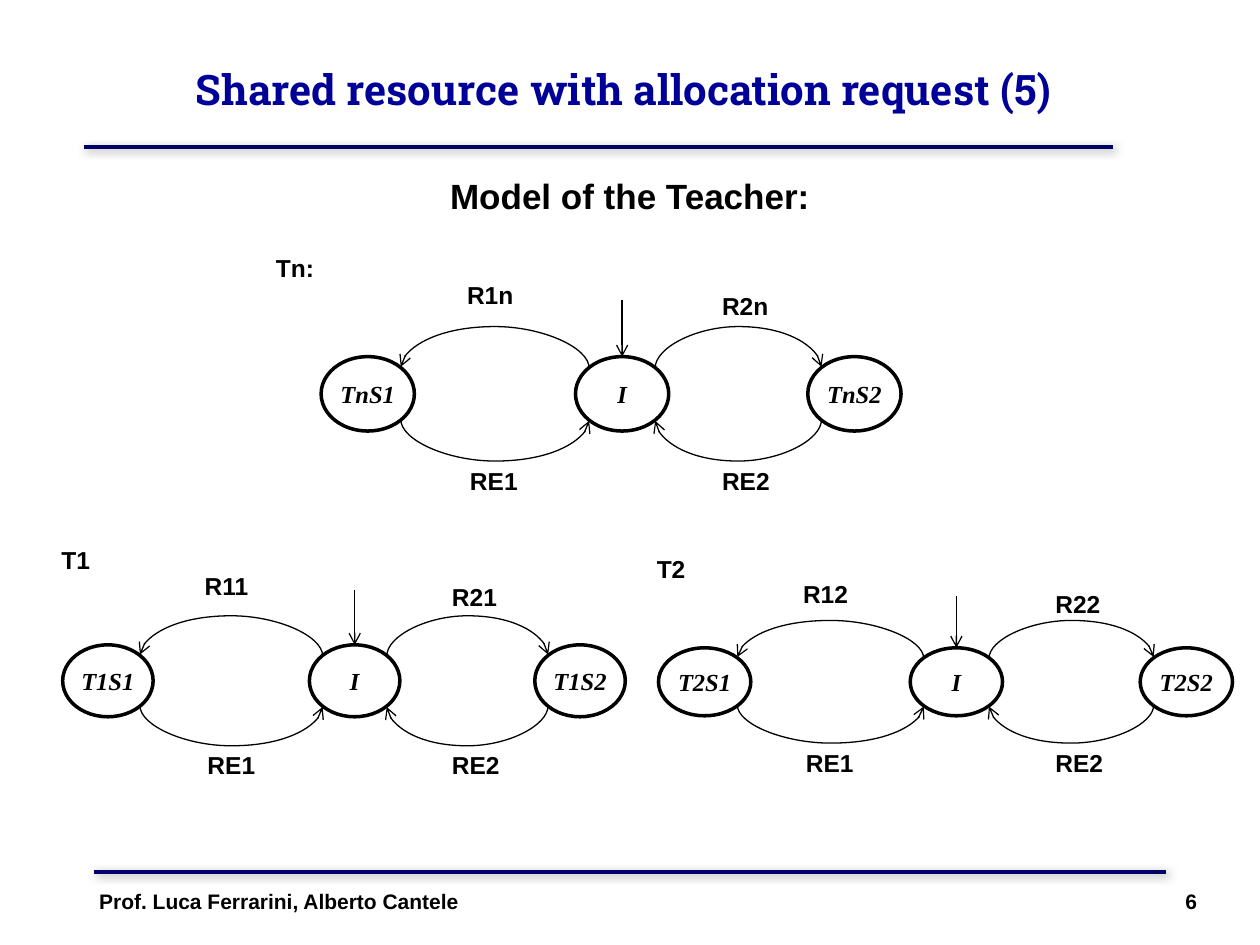
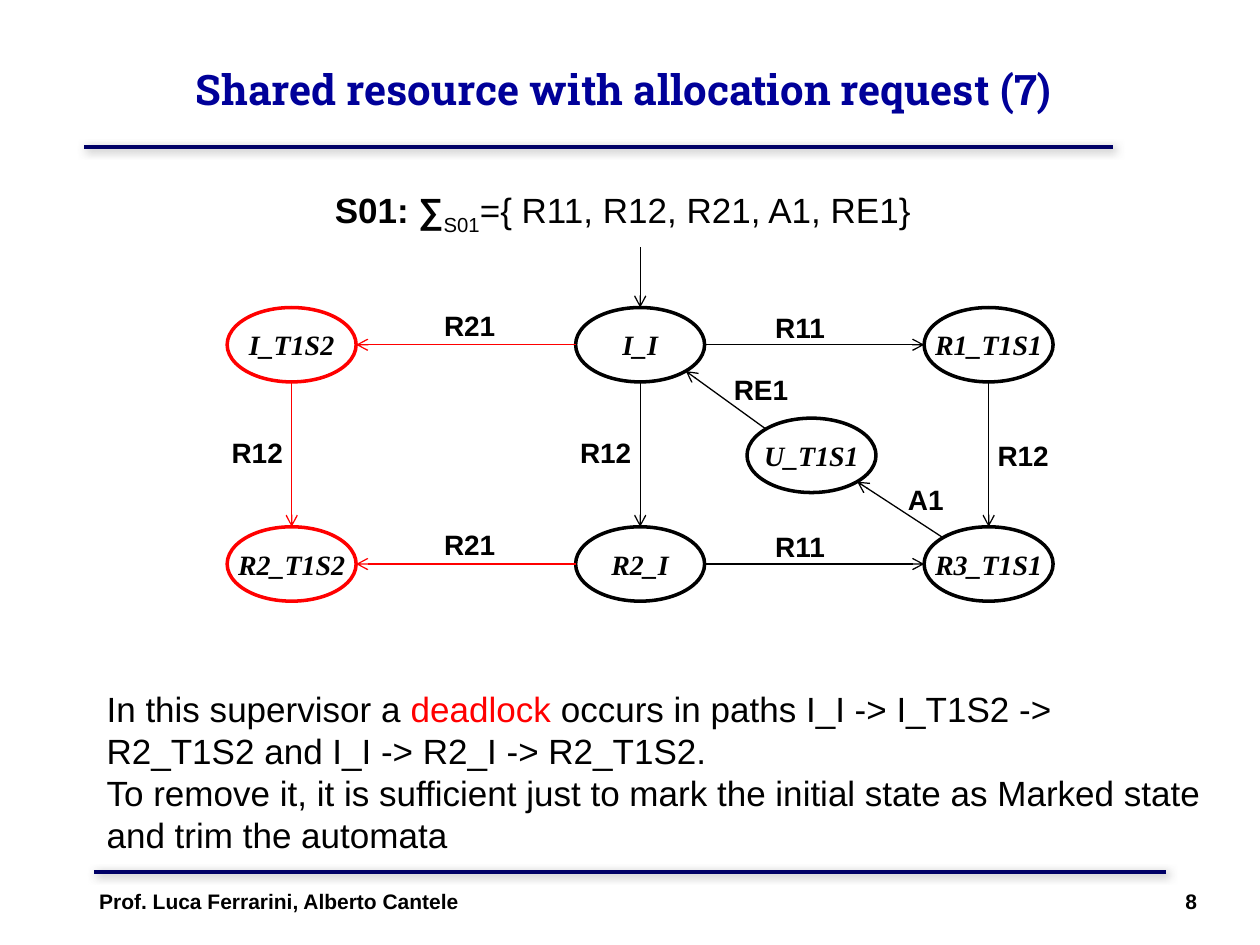
from dataclasses import dataclass
from math import sqrt

from pptx import Presentation
from pptx.dml.color import RGBColor
from pptx.enum.shapes import MSO_CONNECTOR, MSO_SHAPE
from pptx.enum.text import MSO_ANCHOR, PP_ALIGN
from pptx.oxml.ns import qn
from pptx.oxml.xmlchemy import OxmlElement
from pptx.util import Cm, Pt

LINE, CURVE = MSO_CONNECTOR.STRAIGHT, MSO_CONNECTOR.CURVE
OVAL = MSO_SHAPE.OVAL
MIDDLE = MSO_ANCHOR.MIDDLE
LEFT, CENTER = PP_ALIGN.LEFT, PP_ALIGN.CENTER
DIAG = 1 / sqrt(2)


@dataclass(frozen=True)
class Theme:
    ink: str = "000000"
    paper: str = "FFFFFF"
    rule: str = "000066"
    title: str = "000099"
    alert: str = "FF0000"
    shade: str = "808080"
    head: str = "Roboto Slab"
    sans: str = "Arial"
    serif: str = "Times New Roman"
    title_size: int = 24
    text_size: int = 20
    graph_size: int = 16
    small_graph: int = 14
    foot_size: int = 12


THEME = Theme()


def rgb(code):
    return RGBColor.from_string(code)


def child(parent, tag, **attrs):
    """Append an XML element with the given attributes."""
    node = OxmlElement(tag)
    for key, value in attrs.items():
        node.set(key, str(value))
    parent.append(node)
    return node


def style(run, size, face=THEME.sans, color=THEME.ink, bold=True, italic=False):
    font = run.font
    font.name, font.size = face, Pt(size)
    font.bold, font.italic = bold, italic
    font.color.rgb = rgb(color)


def add_text(slide, box, text, size, bold=True, align=LEFT):
    """Add a wrapped text box and return its frame."""
    frame = slide.shapes.add_textbox(*map(Cm, box)).text_frame
    frame.word_wrap = True
    frame.text = text
    for par in frame.paragraphs:
        par.alignment = align
        for run in par.runs:
            style(run, size, bold=bold)
    return frame


def add_label(slide, x, y, text, size):
    add_text(slide, (x, y, 1.9, 0.95), text, size)


def add_line(slide, start, end, color=THEME.ink, width=0.75, kind=LINE, arrow=True):
    """Draw a connector without shadow and return its properties and effects."""
    line = slide.shapes.add_connector(kind, *map(Cm, (*start, *end)))
    line.line.color.rgb = rgb(color)
    line.line.width = Pt(width)
    props = line._element.spPr
    if arrow:
        child(props.find(qn("a:ln")), "a:tailEnd", type="arrow")
    return props, child(props, "a:effectLst")


def add_rule(slide, left, right, y):
    effects = add_line(slide, (left, y), (right, y), THEME.rule, 2.25, arrow=False)[1]
    shadow = child(effects, "a:outerShdw", blurRad=Pt(5), dist=Pt(1.4),
                   dir=45 * 60000, algn="ctr", rotWithShape=0)
    color = child(shadow, "a:srgbClr", val=THEME.shade)
    child(color, "a:alpha", val=75000)


def add_arc(slide, start, end, y, rise, above):
    """Draw a curved arrow between two points of height y, bulging by rise."""
    leftward = end < start
    mid, half, slim = (start + end) / 2, abs(end - start) / 2, 0.015
    dx = -slim if leftward else slim
    dy = half if above else -half
    props, _ = add_line(slide, (mid + dx, y + dy), (mid - dx, y - dy), kind=CURVE)
    props.find(qn("a:xfrm")).set("rot", str((270 if leftward == above else 90) * 60000))
    values = props.find(qn("a:prstGeom")).get_or_add_avLst()
    ratio = round(rise / (2 * slim) * 100000)
    child(values, "a:gd", name="adj1", fmla=f"val {ratio}")


def add_state(slide, center, size, name, points, color=THEME.ink):
    (x, y), (wide, high) = center, size
    box = (x - wide / 2, y - high / 2, wide, high)
    oval = slide.shapes.add_shape(OVAL, *map(Cm, box))
    oval.shadow.inherit = False
    oval.fill.solid()
    oval.fill.fore_color.rgb = rgb(THEME.paper)
    oval.line.color.rgb = rgb(color)
    oval.line.width = Pt(2)
    frame = oval.text_frame
    frame.word_wrap = False
    frame.vertical_anchor = MIDDLE
    frame.margin_left = frame.margin_right = 0
    frame.margin_top = frame.margin_bottom = 0
    frame.text = name
    frame.paragraphs[0].alignment = CENTER
    style(frame.paragraphs[0].runs[0], points, THEME.serif, italic=True)


def add_page(prs, part, number):
    """Add a slide with its rules, title and footer."""
    slide = prs.slides.add_slide(prs.slide_layouts[5])
    add_rule(slide, 1.7, 22.43, 2.97)
    add_rule(slide, 1.9, 23.5, 17.58)

    title = slide.shapes.title
    title.left, title.top = Cm(1.9), Cm(0.2)
    title.width, title.height = Cm(21.6), Cm(3.18)
    frame = title.text_frame
    frame.margin_right = Cm(0.5)
    frame.vertical_anchor = MIDDLE
    frame.text = f"Shared resource with allocation request ({part})"
    frame.paragraphs[0].alignment = CENTER
    style(frame.paragraphs[0].runs[0], THEME.title_size, THEME.head, THEME.title)

    foot = add_text(slide, (1.75, 17.78, 23.2, 1.27),
                    f"Prof. Luca Ferrarini, Alberto Cantele\t{number}", THEME.foot_size)
    tabs = child(foot.paragraphs[0]._p.get_or_add_pPr(), "a:tabLst")
    child(tabs, "a:tab", pos=Cm(22.13), algn="r")
    return slide


def add_teacher(slide, box, key, name, indent):
    """Draw one teacher's automaton; the box holds its row of three states."""
    left, top, wide, high = box
    size = (0.161 * wide, high)
    first, idle, last = (left + part * wide for part in (0.08, 0.519, 0.92))
    mid = top + high / 2
    reach, drop = DIAG * size[0] / 2, DIAG * high / 2

    for x, text in ((first, f"T{key}S1"), (idle, "I"), (last, f"T{key}S2")):
        add_state(slide, (x, mid), size, text, THEME.small_graph)
    add_line(slide, (idle, top - 0.76 * high), (idle, top))
    for side, outer in ((-1, first), (1, last)):
        near, far = idle + side * reach, outer - side * reach
        add_arc(slide, near, far, mid - drop, 0.56 * high, True)
        add_arc(slide, far, near, mid + drop, 0.56 * high, False)

    labels = (
        (0.23, -1.11, f"R1{key}"), (0.67, -0.96, f"R2{key}"),
        (0.235, 1.38, "RE1"), (0.67, 1.38, "RE2"),
        (-indent, -1.47, name),
    )
    for x, y, text in labels:
        add_label(slide, left + x * wide, top + y * high, text, THEME.small_graph)


def add_super(slide, box):
    """Draw the supervisor's states and moves inside the box."""
    left, top, wide, high = box
    size = (2.6, 1.5)
    cols = [left + size[0] / 2 + i * (wide - size[0]) / 2 for i in range(3)]
    rows = [top + size[1] / 2, top + high - size[1] / 2]
    spots = {
        "I_T1S2": (cols[0], rows[0]), "I_I": (cols[1], rows[0]),
        "R1_T1S1": (cols[2], rows[0]), "R2_T1S2": (cols[0], rows[1]),
        "R2_I": (cols[1], rows[1]), "R3_T1S1": (cols[2], rows[1]),
        "U_T1S1": (left + 11.78, (rows[0] + rows[1]) / 2 + 0.02),
    }
    dead = {"I_T1S2", "R2_T1S2"}
    before, after, slant = (-1.46, -0.5), (-0.07, -0.45), (-0.09, -0.67)
    over, wider = (-0.69, -0.85), (-1.04, -0.82)
    moves = (
        ("I_I", "I_T1S2", "R21", over), ("I_I", "R1_T1S1", "R11", wider),
        ("R2_I", "R2_T1S2", "R21", over), ("R2_I", "R3_T1S1", "R11", wider),
        ("I_T1S2", "R2_T1S2", "R12", before), ("I_I", "R2_I", "R12", before),
        ("R1_T1S1", "R3_T1S1", "R12", after),
        ("R3_T1S1", "U_T1S1", "A1", slant), ("U_T1S1", "I_I", "RE1", slant),
    )

    def color(name):
        return THEME.alert if name in dead else THEME.ink

    for name, spot in spots.items():
        add_state(slide, spot, size, name, THEME.graph_size, color(name))
    x, y = spots["I_I"]
    add_line(slide, (x, y - size[1] / 2 - 1.22), (x, y - size[1] / 2))
    for source, target, text, shift in moves:
        start, end = spots[source], spots[target]
        signs = [(b > a) - (b < a) for a, b in zip(start, end)]
        scale = DIAG if all(signs) else 1
        edge = [scale * sign * span / 2 for sign, span in zip(signs, size)]
        start_edge = [a + d for a, d in zip(start, edge)]
        end_edge = [b - d for b, d in zip(end, edge)]
        add_line(slide, start_edge, end_edge, color(target))
        place = [(a + b) / 2 + d for a, b, d in zip(start, end, shift)]
        add_label(slide, *place, text, THEME.graph_size)


def add_runs(par, parts):
    """Fill a paragraph from (text, bold, colour) parts."""
    for text, bold, color in parts:
        run = par.add_run()
        run.text = text
        style(run, THEME.text_size, color=color, bold=bold)


def add_event_set(slide, box):
    par = add_text(slide, box, "", THEME.text_size).paragraphs[0]
    add_runs(par, (("S01: ∑", True, THEME.ink), ("S01", False, THEME.ink),
                   ("={ R11, R12, R21, A1, RE1}", False, THEME.ink)))
    par.runs[1].font._element.set("baseline", "-25000")


def add_remark(slide, box):
    frame = add_text(slide, box, "", THEME.text_size)
    add_runs(frame.paragraphs[0], (
        ("In this supervisor a ", False, THEME.ink),
        ("deadlock", False, THEME.alert),
        (" occurs in paths I_I -> I_T1S2 -> R2_T1S2 and I_I -> R2_I -> R2_T1S2.",
         False, THEME.ink)))
    add_runs(frame.add_paragraph(), (
        ("To remove it, it is sufficient just to mark the initial state as "
         "Marked state and trim the automata", False, THEME.ink),))


def main():
    prs = Presentation()
    prs.slide_width, prs.slide_height = Cm(25.4), Cm(19.05)

    slide = add_page(prs, 5, 6)
    add_text(slide, (1.4, 3.4, 22.6, 1.12), "Model of the Teacher:",
             THEME.text_size, align=CENTER)
    add_teacher(slide, (6.48, 7.19, 11.68, 1.5), "n", "Tn:", 0.1)
    add_teacher(slide, (1.27, 13, 11.33, 1.45), "1", "T1", 0.025)
    add_teacher(slide, (13.28, 13.06, 11.56, 1.37), "2", "T2", 0.025)

    slide = add_page(prs, 7, 8)
    add_event_set(slide, (6.5, 3.68, 13.6, 1.12))
    add_super(slide, (4.58, 6.2, 16.65, 5.92))
    add_remark(slide, (1.9, 13.74, 22.62, 3.68))
    prs.save("out.pptx")


if __name__ == "__main__":
    main()
